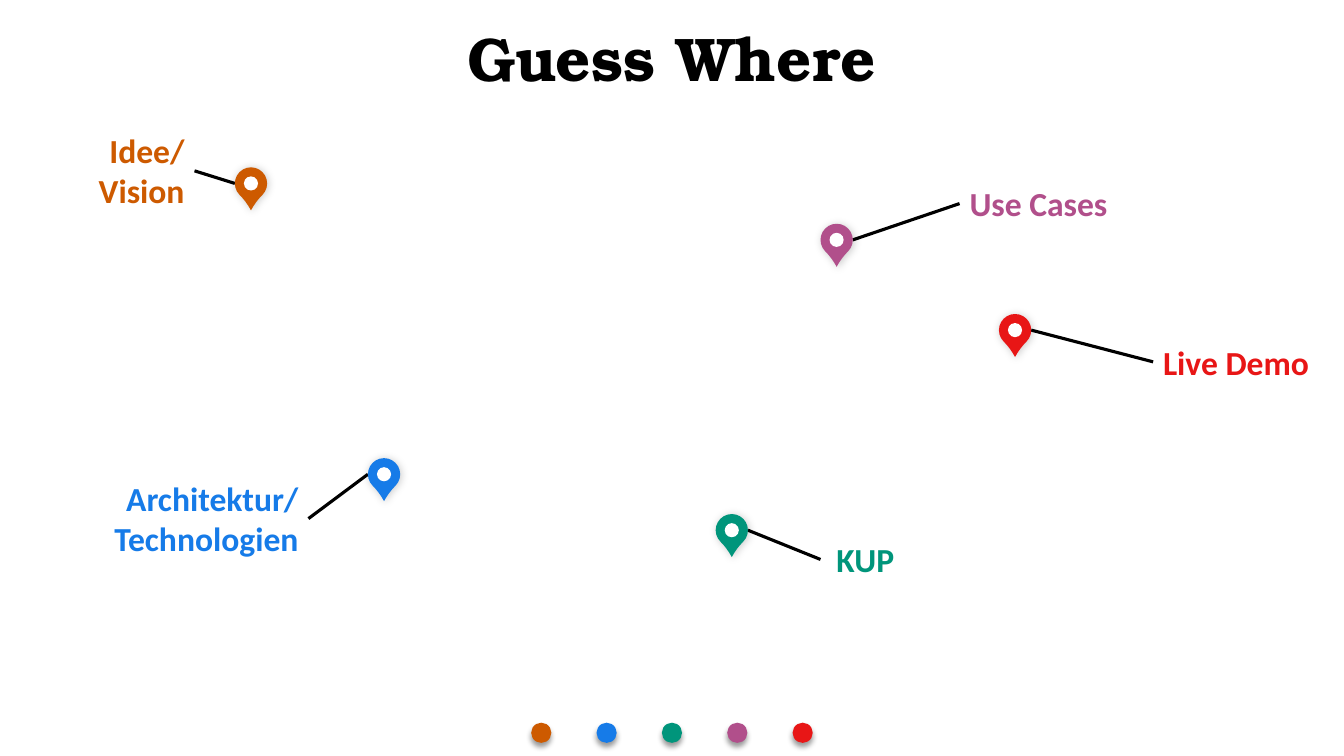
from dataclasses import dataclass

from lxml.etree import SubElement
from pptx import Presentation
from pptx.dml.color import RGBColor
from pptx.enum.shapes import MSO_CONNECTOR, MSO_SHAPE
from pptx.enum.text import MSO_ANCHOR, MSO_AUTO_SIZE, PP_ALIGN
from pptx.oxml.ns import qn
from pptx.shapes.autoshape import Shape
from pptx.slide import Slide
from pptx.util import Emu, Inches, Pt

COLUMNS, ROWS = 80, 45
CELL = Inches(1) / 6  # the grid has square cells

BLACK = RGBColor(0x00, 0x00, 0x00)
WHITE = RGBColor(0xFF, 0xFF, 0xFF)
ORANGE = RGBColor(0xCD, 0x5A, 0x00)
BLUE = RGBColor(0x16, 0x7B, 0xE8)
GREEN = RGBColor(0x00, 0x95, 0x7B)
PURPLE = RGBColor(0xB1, 0x4F, 0x8B)
RED = RGBColor(0xE8, 0x16, 0x16)

PIN_SIZE, HOLE_SIZE = 1.92, 0.84
DOT_SIZE, DOT_PITCH, DOT_TOP = 1.2, 3.89, 43.02
LEFT_SIDE, RIGHT_SIDE = 1, 3


@dataclass(frozen=True)
class Area:
    """A rectangle in grid cells."""
    left: float
    top: float
    width: float
    height: float

    def emu(self) -> tuple[Emu, ...]:
        return tuple(cells(n) for n in (self.left, self.top, self.width, self.height))


@dataclass(frozen=True)
class Shadow:
    """Opacity in percent, blur and distance in points, angle in degrees."""
    opacity: int
    blur: int
    distance: int
    angle: int


@dataclass(frozen=True)
class Stop:
    lines: tuple[str, ...]
    color: RGBColor
    pin_left: float
    pin_top: float
    label: Area
    align: PP_ALIGN = PP_ALIGN.LEFT


DOT_SHADOW = Shadow(40, 4, 3, 90)
PIN_SHADOW = Shadow(20, 6, 1, 45)

STOPS = (
    Stop(("Idee/", "Vision"), ORANGE, 13.98, 9.96,
         Area(3.36, 7.44, 8.22, 5.46), PP_ALIGN.RIGHT),
    Stop(("Architektur/", "Technologien"), BLUE, 21.9, 27.27,
         Area(5.7, 28.14, 12.66, 5.46), PP_ALIGN.RIGHT),
    Stop(("KUP",), GREEN, 42.6, 30.6,
         Area(48.84, 31.8, 4.98, 3), PP_ALIGN.RIGHT),
    Stop(("Use Cases",), PURPLE, 48.84, 13.32, Area(57.12, 10.62, 12.9, 3)),
    Stop(("Live Demo",), RED, 59.46, 18.69, Area(68.64, 20.04, 10.02, 3)),
)


def cells(count: float) -> Emu:
    return Emu(round(count * CELL))


def add_shadow(shape: Shape, shadow: Shadow) -> None:
    effects = shape._element.spPr.find(qn("a:effectLst"))
    outer = SubElement(effects, qn("a:outerShdw"), {
        "blurRad": str(Pt(shadow.blur)),
        "dist": str(Pt(shadow.distance)),
        "dir": str(shadow.angle * 60000),
    })
    color = SubElement(outer, qn("a:srgbClr"), val=str(BLACK))
    SubElement(color, qn("a:alpha"), val=str(shadow.opacity * 1000))


def add_filled(page: Slide, kind: MSO_SHAPE, area: Area, color: RGBColor) -> Shape:
    shape = page.shapes.add_shape(kind, *area.emu())
    shape.shadow.inherit = False
    shape.fill.solid()
    shape.fill.fore_color.rgb = color
    shape.line.fill.background()
    return shape


def add_text(page: Slide, area: Area, lines: tuple[str, ...], font: str, size: int,
             color: RGBColor, align: PP_ALIGN) -> Shape:
    box = page.shapes.add_textbox(*area.emu())
    box.text_frame.word_wrap = True
    para = box.text_frame.paragraphs[0]
    para.alignment = align
    for index, line in enumerate(lines):
        if index:
            para.add_line_break()
        span = para.add_run()
        span.text = line
        span.font.name = font
        span.font.size = Pt(size)
        span.font.bold = True
        span.font.color.rgb = color
    return box


def add_title(page: Slide) -> None:
    box = add_text(page, Area(10, 0.96, 60, 4.98), ("Guess Where",),
                   "TeX Gyre Bonum", 44, BLACK, PP_ALIGN.CENTER)
    box.text_frame.vertical_anchor = MSO_ANCHOR.BOTTOM
    box.text_frame.paragraphs[0].line_spacing = 0.9


def add_pin(page: Slide, stop: Stop) -> None:
    drop = add_filled(page, MSO_SHAPE.TEAR,
                      Area(stop.pin_left, stop.pin_top, PIN_SIZE, PIN_SIZE), stop.color)
    drop.adjustments[0] = 1.177
    drop.rotation = 135
    add_shadow(drop, PIN_SHADOW)
    inset = (PIN_SIZE - HOLE_SIZE) / 2
    add_filled(page, MSO_SHAPE.OVAL,
               Area(stop.pin_left + inset, stop.pin_top + inset, HOLE_SIZE, HOLE_SIZE), WHITE)


def add_leader(page: Slide, stop: Stop, label: Shape) -> None:
    """Join the label to the side of the pin that faces it."""
    label_is_left = stop.label.left < stop.pin_left
    pin_x = cells(stop.pin_left if label_is_left else stop.pin_left + PIN_SIZE)
    pin_y = cells(stop.pin_top + PIN_SIZE / 2)
    leader = page.shapes.add_connector(MSO_CONNECTOR.STRAIGHT, pin_x, pin_y, pin_x, pin_y)
    leader.end_connect(label, RIGHT_SIDE if label_is_left else LEFT_SIDE)
    leader.line.color.rgb = BLACK
    leader.line.width = Pt(2.25)
    SubElement(leader._element.spPr, qn("a:effectLst"))


def add_stop(page: Slide, stop: Stop) -> None:
    label = add_text(page, stop.label, stop.lines, "Calibri", 24, stop.color, stop.align)
    label.text_frame.auto_size = MSO_AUTO_SIZE.SHAPE_TO_FIT_TEXT
    add_leader(page, stop, label)
    add_pin(page, stop)


def add_dots(page: Slide) -> None:
    """Draw one dot per stop in a row centred on the slide."""
    first = (COLUMNS - DOT_PITCH * (len(STOPS) - 1) - DOT_SIZE) / 2
    for index, stop in enumerate(STOPS):
        area = Area(first + index * DOT_PITCH, DOT_TOP, DOT_SIZE, DOT_SIZE)
        add_shadow(add_filled(page, MSO_SHAPE.OVAL, area, stop.color), DOT_SHADOW)


def main() -> None:
    deck = Presentation()
    deck.slide_width, deck.slide_height = cells(COLUMNS), cells(ROWS)
    page = deck.slides.add_slide(deck.slide_layouts[6])
    page.background.fill.solid()
    page.background.fill.fore_color.rgb = WHITE
    add_title(page)
    for stop in STOPS:
        add_stop(page, stop)
    add_dots(page)
    deck.save("out.pptx")


if __name__ == "__main__":
    main()
